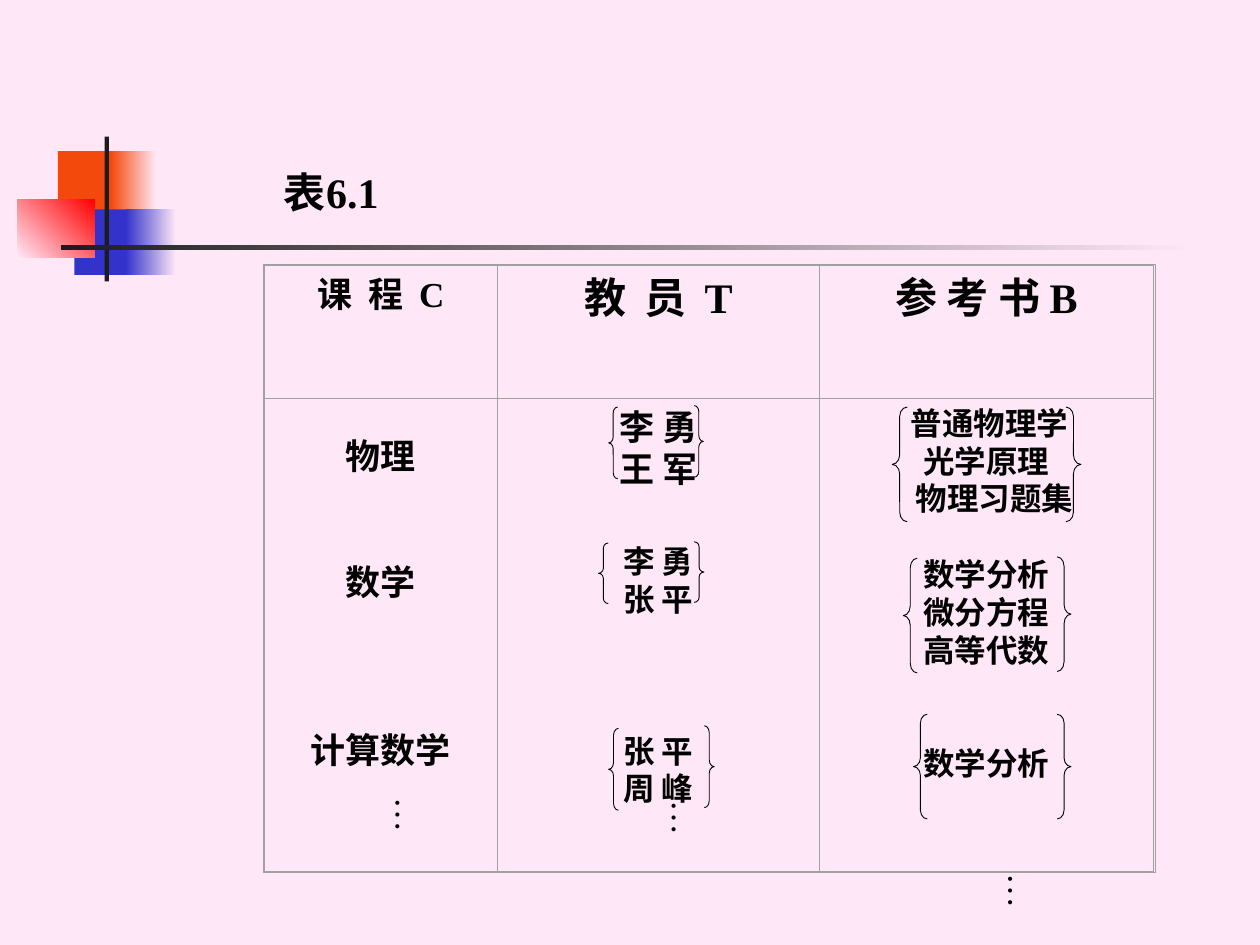
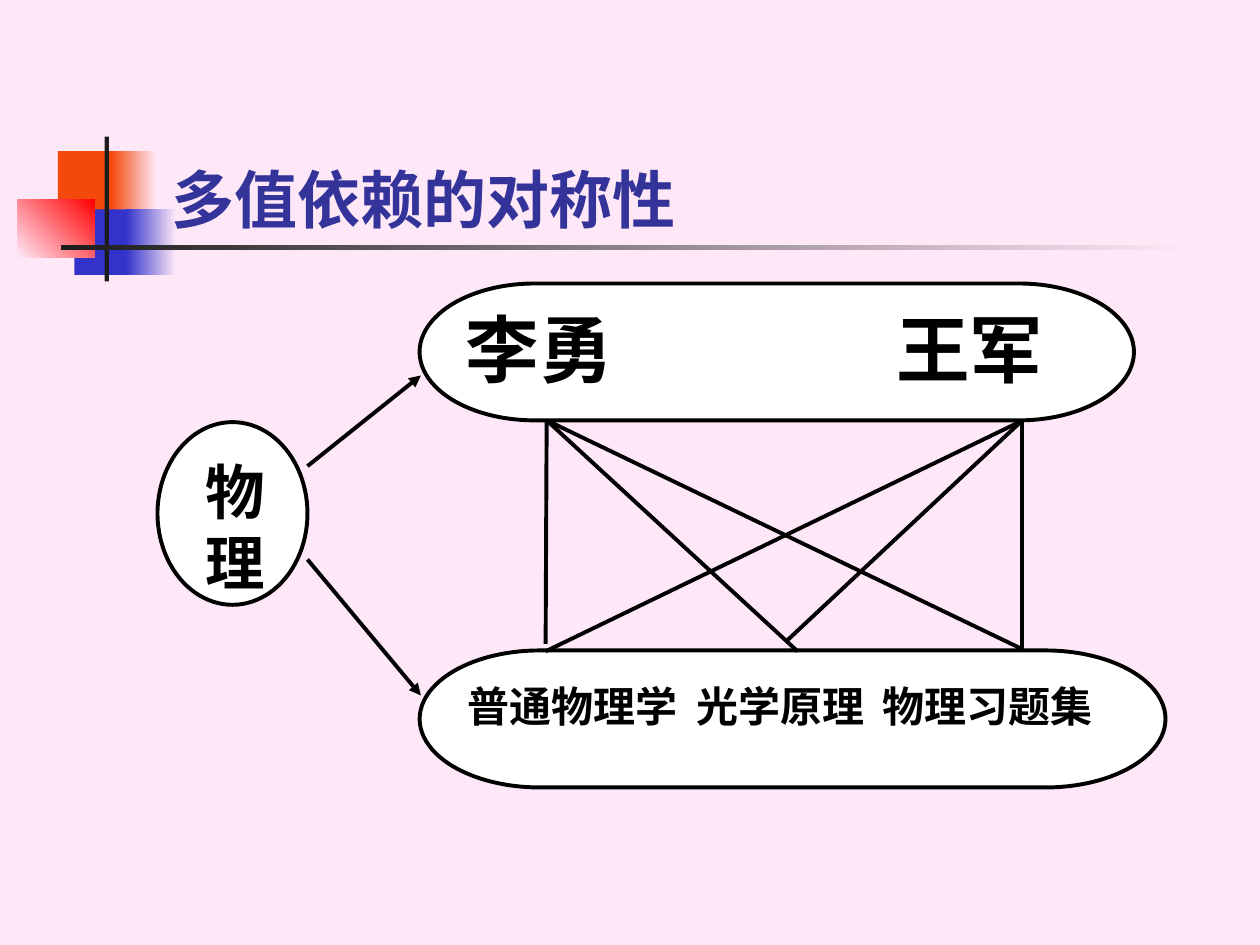
from lxml.etree import SubElement as Sub
from pptx import Presentation
from pptx.dml.color import RGBColor
from pptx.enum.lang import MSO_LANGUAGE_ID as Lang
from pptx.enum.shapes import MSO_CONNECTOR as Link, MSO_SHAPE as Form
from pptx.enum.text import MSO_ANCHOR as Anchor, PP_ALIGN as Align
from pptx.oxml import parse_xml
from pptx.oxml.ns import nsdecls, qn
from pptx.util import Pt

PINK, BLUE, ORANGE, RED = "FEE8F7", "3333CC", "F4490C", "FF0000"
DARK, INK, GREY, WHITE, NAVY = "1C1C1C", "000000", "A0A0A0", "FFFFFF", "333399"
SERIF, SANS = "Times New Roman", "Roboto"


def hue(code):
    return RGBColor.from_string(code)


def write(para, text, size=20, font=SERIF, color=INK, bold=True, align=Align.LEFT,
          before=0, left=0, space=0, tabs=(), lead=0):
    """Put one formatted run into a paragraph; lead is line height over size."""
    props = para._p.get_or_add_pPr()
    if left:
        props.set("marL", str(Pt(left)))
        props.set("indent", "0")
    if lead:
        para.line_spacing = Pt(lead * size)
    if before:
        para.space_before = Pt(before)
    para.alignment = align
    if tabs:
        stops = Sub(props, qn("a:tabLst"))
        for pos in tabs:
            Sub(stops, qn("a:tab"), pos=str(Pt(pos)), algn="l")
    run = para.add_run()
    run.text = text
    face = run.font
    face.size, face.name, face.bold = Pt(size), font, bold
    face.color.rgb = hue(color)
    face.language_id = Lang.SIMPLIFIED_CHINESE
    if space:
        run._r.get_or_add_rPr().set("spc", str(int(space * 100)))


def fill_in(frame, lines, **style):
    """Write one paragraph per line; a line is (text, own format)."""
    for i, (text, own) in enumerate(lines):
        para = frame.add_paragraph() if i else frame.paragraphs[0]
        write(para, text, **{**style, **own})


def inset(frame, sides):
    (frame.margin_left, frame.margin_top,
     frame.margin_right, frame.margin_bottom) = map(Pt, sides)


class Deck:
    def __init__(self):
        self.prs = Presentation()
        self.prs.slide_width, self.prs.slide_height = Pt(720), Pt(540)

    def page(self):
        """Start a slide with the shared background and ornament."""
        slide = self.prs.slides.add_slide(self.prs.slide_layouts[6])
        slide.background.fill.solid()
        slide.background.fill.fore_color.rgb = hue(PINK)
        self.items = slide.shapes
        rect = Form.RECTANGLE
        self.shape(rect, (33.1, 86.4, 34.6, 37.4), ORANGE)
        self.shape(rect, (63.4, 86.4, 25.9, 37.4), (ORANGE, PINK, 0))
        self.shape(rect, (42.5, 119.7, 33.1, 37.4), BLUE)
        self.shape(rect, (72, 119.7, 28.8, 37.4), (BLUE, PINK, 0))
        self.shape(rect, (10, 113.8, 43.9, 33.1), (PINK, RED, 45))
        self.shape(rect, (59.8, 78, 2.5, 82.8), DARK)
        self.shape(rect, (34.6, 140.2, 648, 2.5), (DARK, PINK, 0))

    def shape(self, form, box, fill=None, line=None, width=1):
        """Fill is None, a colour, or (from, to, angle) for a gradient."""
        item = self.items.add_shape(form, *map(Pt, box))
        item.shadow.inherit = False
        if fill is None:
            item.fill.background()
        elif isinstance(fill, str):
            item.fill.solid()
            item.fill.fore_color.rgb = hue(fill)
        else:
            item.fill.gradient()
            item.fill.gradient_angle = fill[2]
            for stop, code in zip(item.fill.gradient_stops, fill):
                stop.color.rgb = hue(code)
        if line:
            item.line.color.rgb = hue(line)
            item.line.width = Pt(width)
        else:
            item.line.fill.background()
        return item

    def node(self, form, box, lines, top=3.6, **style):
        frame = self.shape(form, box, WHITE, INK, 2.25).text_frame
        frame.word_wrap = True
        frame.vertical_anchor = Anchor.TOP
        inset(frame, (7.2, top, 7.2, 3.6))
        fill_in(frame, lines, **style)

    def text(self, box, text, anchor=Anchor.TOP,
             sides=(7.2, 3.6, 7.2, 3.6), upright=False, **style):
        frame = self.items.add_textbox(*map(Pt, box)).text_frame
        frame.word_wrap, frame.vertical_anchor = True, anchor
        inset(frame, sides)
        if upright:
            frame._txBody.bodyPr.set("vert", "eaVert")
        write(frame.paragraphs[0], text, **style)

    def brace(self, form, box):
        item = self.shape(form, box, line=INK, width=0.5)
        item.adjustments[0] = box[3] / box[2] / 12

    def line(self, start, end, arrow=False):
        item = self.items.add_connector(Link.STRAIGHT, *map(Pt, start + end))
        item.line.color.rgb = hue(INK)
        item.line.width = Pt(2.25)
        if arrow:
            Sub(item.line._get_or_add_ln(), qn("a:tailEnd"), type="triangle")
        Sub(item._element.spPr, qn("a:effectLst"))

    def table(self, spot, cols, rows, cells):
        """Each cell is (top margin, lines)."""
        size = (sum(cols), sum(rows))
        grid = self.items.add_table(len(rows), len(cols), *map(Pt, spot + size)).table
        grid.first_row = grid.horz_banding = False
        for col, wide in zip(grid.columns, cols):
            col.width = Pt(wide)
        for row, high in zip(grid.rows, rows):
            row.height = Pt(high)
        for cell, (top, lines) in zip(grid.iter_cells(), cells):
            inset(cell, (9.4, top, 9.4, 3.6))
            cell.fill.background()
            fill_in(cell.text_frame, lines, align=Align.CENTER, lead=1.2)
            for i, side in enumerate("LRTB"):
                cell._tc.get_or_add_tcPr().insert(i, parse_xml(
                    f'<a:ln{side} {nsdecls("a")} w="{Pt(0.5)}"><a:solidFill>'
                    f'<a:srgbClr val="{GREY}"/></a:solidFill></a:ln{side}>'))


def course(deck):
    """Table of courses, teachers and books."""
    deck.page()
    deck.text((139.3, 82.8, 100, 54), "表6.1", Anchor.MIDDLE,
              size=24, align=Align.CENTER)

    # Vertical dots
    for box in ((365.8, 450, 41.8, 36), (192.2, 448.4, 57.6, 43.9),
                (551.8, 491.8, 48.2, 30.2)):
        deck.text(box, "…", sides=(3.6, 7.2, 3.6, 7.2), upright=True, bold=False)

    # Braces: left x, right x, left top, right top, width, height
    for left, right, top, rtop, wide, high in (
            (347.8, 396.7, 232.6, 231.8, 5.2, 41),
            (342, 396.7, 310.3, 309.6, 5.6, 34.6),
            (347.8, 402.5, 416.2, 414.7, 5.6, 46.8),
            (509.8, 609.1, 232.6, 232.6, 8.6, 65.5),
            (516.2, 604.1, 319, 318.2, 7.9, 65.5),
            (522, 604.1, 408.2, 408.2, 7.9, 59.8)):
        deck.brace(Form.LEFT_BRACE, (left, top, wide, high))
        deck.brace(Form.RIGHT_BRACE, (right, rtop, wide, high))

    # Table and its outer frame
    small = {"size": 18}
    heads = [("课 程 C", {"space": 2.2}), ("教 员 T", {"size": 24, "space": 2.5}),
             ("参 考 书 B", {"size": 24})]
    names = [("物理", {}), ("数学", {"before": 48}), ("计算数学", {"before": 72})]
    staff = [("李 勇", {}), ("王 军", {}),
             ("李 勇", {**small, "before": 30}), ("张 平", small),
             ("张 平", {**small, "before": 65}), ("周 峰", small)]
    books = [("普通物理学", {**small, "left": 3.5}), ("光学原理", small),
             ("物理习题集", {**small, "left": 9}),
             ("数学分析", {**small, "before": 21.6}), ("微分方程", small),
             ("高等代数", small), ("数学分析", {**small, "before": 43.2})]
    deck.table((151.2, 151.4), (133, 184, 191), (76.4, 270),
               [(6, [head]) for head in heads]
               + [(22.2, names), (5.6, staff), (4.5, books)])
    deck.shape(Form.RECTANGLE, (150.5, 151.2, 509.8, 347.4), line=GREY, width=0.88)


def mirror(deck):
    """Symmetry of the multivalued dependency."""
    deck.page()
    deck.text((90.7, 48.2, 613.4, 90), "多值依赖的对称性", Anchor.BOTTOM,
              size=36, font=SANS, color=NAVY)

    # Course, books and teachers
    pill = Form.FLOWCHART_TERMINATOR
    deck.node(Form.OVAL, (90, 241.2, 85.7, 104.4), [("物", {}), ("理", {})],
              size=34, align=Align.CENTER, left=3)
    deck.node(pill, (239.8, 371.7, 426.2, 78.3),
              [("普通物理学\t光学原理\t物理习题集", {})],
              top=5.8, size=24, tabs=(131, 237.6))
    deck.node(pill, (239.8, 162, 408.2, 78.2), [("李勇\t王军", {})],
              top=0, size=42, tabs=(246,))

    # Arrows from the course
    deck.line((175.7, 266.4), (240.5, 214.6), arrow=True)
    deck.line((175.7, 319.7), (240.5, 397.4), arrow=True)

    # Each teacher to each book
    li, wang = (312.4, 240.2), (583.9, 240.5)
    for who, ends in ((li, ((311.8, 367.9), (455.8, 372.2), (583.9, 370.8))),
                      (wang, ((583.9, 370.8), (450, 365.8), (311.8, 372.2)))):
        for end in ends:
            deck.line(who, end)


def main():
    deck = Deck()
    course(deck)
    mirror(deck)
    deck.prs.save("out.pptx")


if __name__ == "__main__":
    main()
